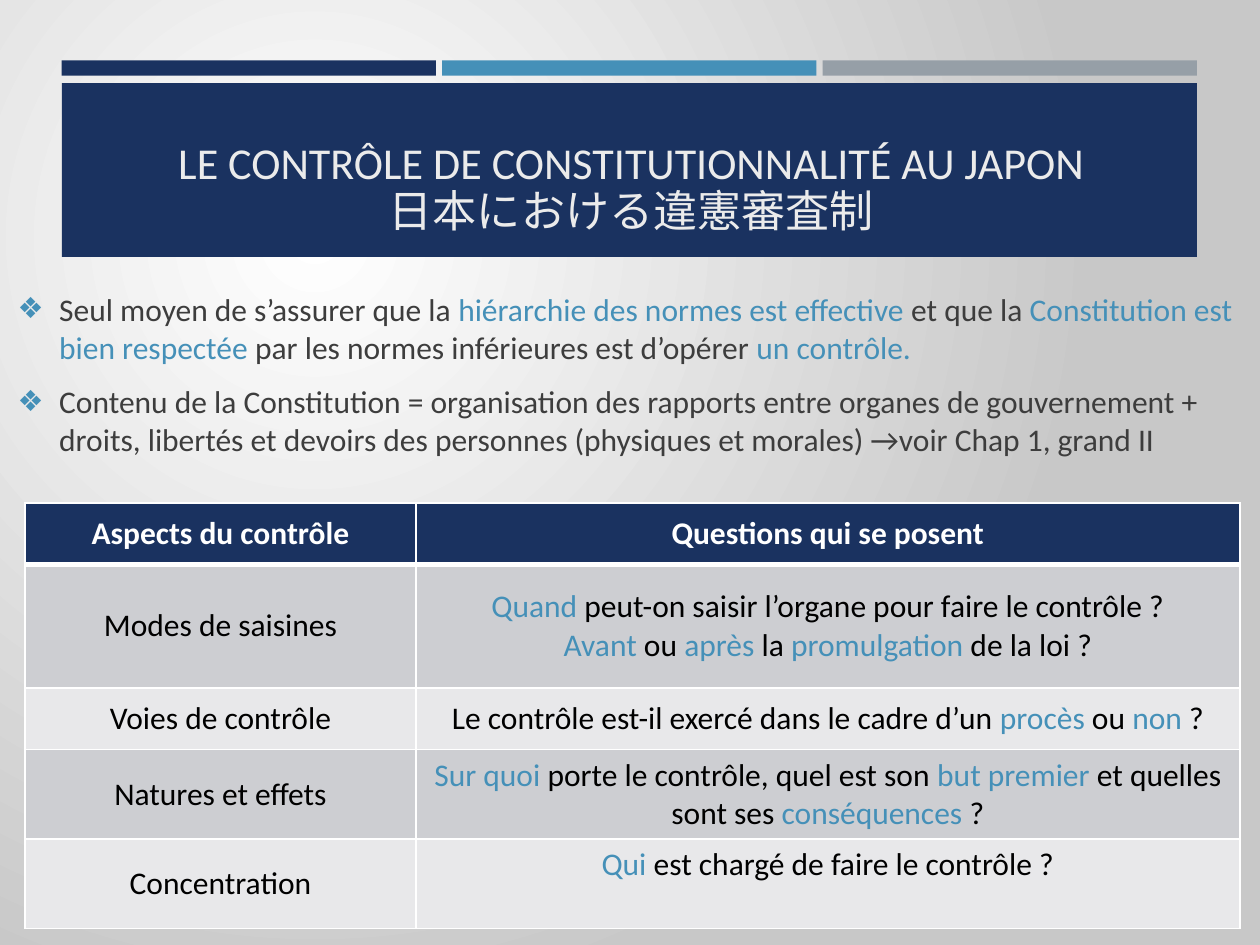
from pptx import Presentation
from pptx.dml.color import RGBColor
from pptx.enum.shapes import MSO_SHAPE
from pptx.enum.text import MSO_ANCHOR, MSO_AUTO_SIZE, PP_ALIGN
from pptx.oxml import parse_xml
from pptx.oxml.ns import nsdecls, qn
from pptx.util import Inches, Pt

NAVY, BLUE, GREY = "1A3260", "4590B8", "969FA7"
WHITE, BLACK, DARK, PALE = "FFFFFF", "000000", "3D3D3D", "EBEBEB"
BANDS = ("CDCED2", "E8E8EA")

TITLE = "LE CONTRÔLE DE CONSTITUTIONNALITÉ AU JAPON\n日本における違憲審査制"

# Words between asterisks take the accent colour.
POINTS = [
    "Seul moyen de s’assurer que la *hiérarchie des normes est effective *et que la "
    "*Constitution est bien respectée *par les normes inférieures est d’opérer *un contrôle.*",
    "Contenu de la Constitution = organisation des rapports entre organes de gouvernement + "
    "droits, libertés et devoirs des personnes (physiques et morales) →voir Chap 1, grand II",
]
ROWS = [
    ("Aspects du contrôle", "Questions qui se posent"),
    ("Modes de saisines",
     "*Quand* peut-on saisir l’organe pour faire le contrôle ?\n"
     "*Avant* ou *après* la *promulgation* de la loi ?"),
    ("Voies de contrôle",
     "Le contrôle est-il exercé dans le cadre d’un *procès* ou *non* ?"),
    ("Natures et effets",
     "*Sur quoi *porte le contrôle, quel est son *but premier *et quelles sont ses "
     "*conséquences* ?"),
    ("Concentration", "*Qui* est chargé de faire le contrôle ?"),
]
WIDTHS = (3.1, 6.54)
HEIGHTS = (0.49, 0.98, 0.49, 0.71, 0.71)


def rgb(code):
    return RGBColor.from_string(code)


def xml(tag, attrs="", inner=""):
    return parse_xml(f"<a:{tag} {nsdecls('a')} {attrs}>{inner}</a:{tag}>")


def solid(code):
    return f'<a:solidFill><a:srgbClr val="{code}"/></a:solidFill>'


def place(shape, left, top, width, height):
    shape.left, shape.top = Inches(left), Inches(top)
    shape.width, shape.height = Inches(width), Inches(height)


def write(para, text, size, color, bold=False):
    """Fill a paragraph, colouring the parts between asterisks."""
    font = para.font
    font.name, font.size, font.bold = "Calibri", Pt(size), bold
    font.color.rgb = rgb(color)
    for i, part in enumerate(text.split("*")):
        for j, line in enumerate(part.split("\n")):
            if j:
                para.add_line_break()
            if line:
                run = para.add_run()
                run.text = line
                if i % 2:
                    run.font.color.rgb = rgb(BLUE)


def paint(slide):
    """Give the slide a circular gradient that starts left of the centre."""
    fill = slide.background.fill
    fill.gradient()
    for stop, code in zip(fill.gradient_stops, (WHITE, "C8C8C8")):
        stop.color.rgb = rgb(code)
    line = slide.element.find(".//" + qn("a:lin"))
    rect = '<a:fillToRect l="50000" t="50000" r="100000" b="100000"/>'
    line.getparent().replace(line, xml("path", 'path="circle"', rect))


def add_bar(slide, left, top, width, height, color):
    bar = slide.shapes.add_shape(MSO_SHAPE.RECTANGLE, Inches(left), Inches(top),
                                 Inches(width), Inches(height))
    bar.fill.solid()
    bar.fill.fore_color.rgb = rgb(color)
    bar.line.fill.background()
    bar.shadow.inherit = False


def add_title(slide):
    title = slide.shapes.title
    place(title, 0.64, 0.75, 8.74, 1.18)
    frame = title.text_frame
    frame.auto_size = MSO_AUTO_SIZE.NONE
    frame.vertical_anchor = MSO_ANCHOR.BOTTOM
    para = frame.paragraphs[0]
    para.alignment, para.line_spacing = PP_ALIGN.CENTER, 0.9
    write(para, TITLE, 25.2, PALE)


def add_points(slide):
    body = slide.placeholders[1]
    place(body, 0.04, 2.25, 9.92, 3.97)
    frame = body.text_frame
    frame.auto_size = MSO_AUTO_SIZE.NONE
    frame.vertical_anchor = MSO_ANCHOR.TOP
    for i, text in enumerate(POINTS):
        para = frame.add_paragraph() if i else frame.paragraphs[0]
        para.space_before, para.space_after = Pt(3.6), Pt(6)
        props = para._p.get_or_add_pPr()
        props.set("marL", str(Inches(0.33)))
        props.set("indent", str(-Inches(0.33)))
        props.append(xml("buClr", inner=f'<a:srgbClr val="{BLUE}"/>'))
        props.append(xml("buSzPct", 'val="92000"'))
        props.append(xml("buChar", 'char="❖"'))
        write(para, text, 18, DARK)


def edge(cell, top, bottom):
    """Draw white cell borders; top and bottom are widths in points."""
    props = cell._tc.get_or_add_tcPr()
    for side, width in zip("LRTB", (1, 1, top, bottom)):
        props.append(xml("ln" + side, f'w="{Pt(width)}"', solid(WHITE)))


def add_grid(slide):
    grid = slide.shapes.add_table(len(ROWS), len(WIDTHS), Inches(0.2), Inches(3.99),
                                  Inches(sum(WIDTHS)), Inches(sum(HEIGHTS))).table
    for col, width in zip(grid.columns, WIDTHS):
        col.width = Inches(width)
    for r, texts in enumerate(ROWS):
        grid.rows[r].height = Inches(HEIGHTS[r])
        head = r == 0
        for c, text in enumerate(texts):
            cell = grid.cell(r, c)
            edge(cell, 3 if r == 1 else 1, 3 if head else 1)
            cell.fill.solid()
            cell.fill.fore_color.rgb = rgb(NAVY if head else BANDS[(r - 1) % 2])
            cell.vertical_anchor = MSO_ANCHOR.MIDDLE
            para = cell.text_frame.paragraphs[0]
            para.alignment = PP_ALIGN.CENTER
            write(para, text, 18, WHITE if head else BLACK, head)
    grid.cell(len(ROWS) - 1, 1).vertical_anchor = MSO_ANCHOR.TOP


def main():
    deck = Presentation()
    deck.slide_width, deck.slide_height = Inches(10), Inches(7.5)
    slide = deck.slides.add_slide(deck.slide_layouts[1])
    paint(slide)
    for i, color in enumerate((NAVY, BLUE, GREY)):
        add_bar(slide, 0.49 + i * 3.02, 0.48, 2.97, 0.12, color)
    add_bar(slide, 0.49, 0.66, 9.01, 1.38, NAVY)
    add_title(slide)
    add_points(slide)
    add_grid(slide)
    # Bars go behind the placeholders.
    tree = slide.shapes._spTree
    for shape in (slide.shapes.title, slide.placeholders[1]):
        tree.remove(shape._element)
        tree.append(shape._element)
    deck.save("out.pptx")


if __name__ == "__main__":
    main()
